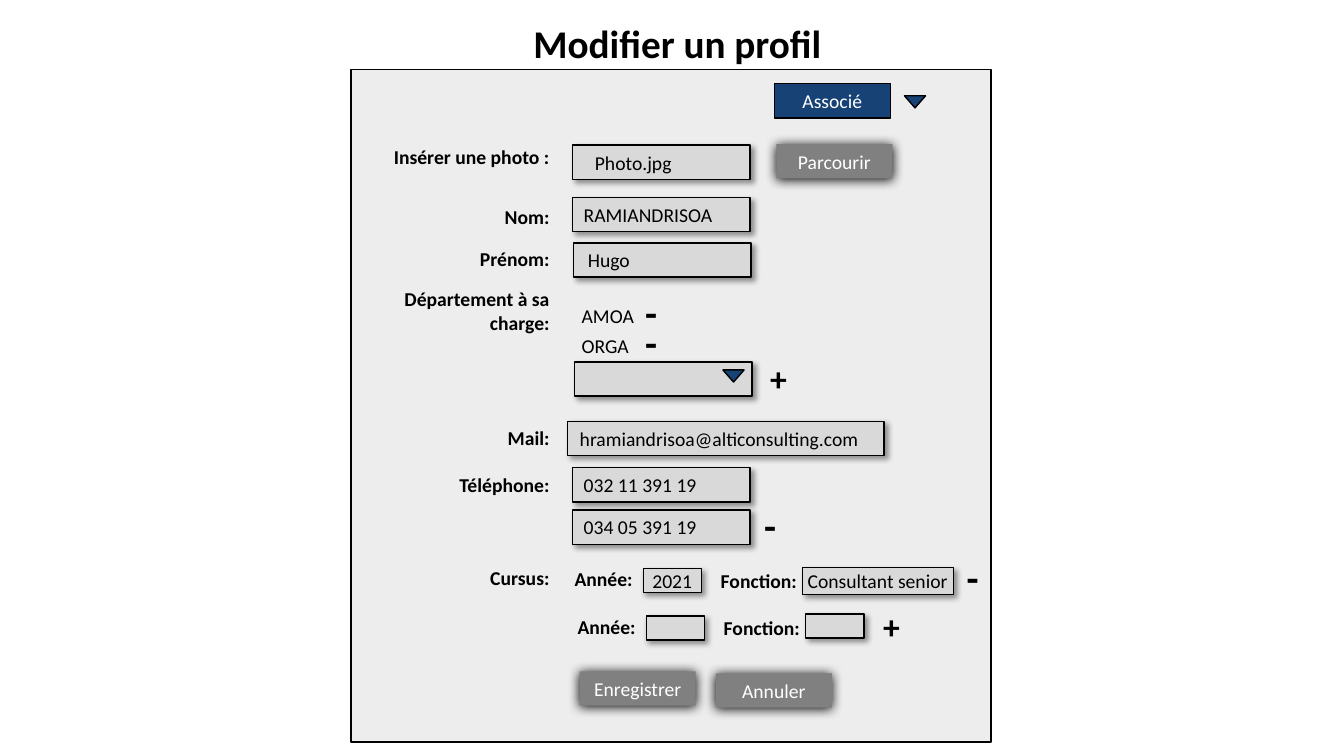
import pptx
import pptx.util
import pptx.dml.color
import pptx.enum.shapes
import pptx.enum.text
import pptx.oxml
import pptx.oxml.ns

Inches = pptx.util.Inches
RGBColor = pptx.dml.color.RGBColor
SHAPES = pptx.enum.shapes.MSO_SHAPE
ALIGN = pptx.enum.text.PP_ALIGN
ANCHOR = pptx.enum.text.MSO_ANCHOR

BLACK = RGBColor(0x00, 0x00, 0x00)
WHITE = RGBColor(0xFF, 0xFF, 0xFF)
PANEL_GRAY = RGBColor(0xED, 0xED, 0xED)
FIELD_GRAY = RGBColor(0xD9, 0xD9, 0xD9)
BUTTON_GRAY = RGBColor(0x80, 0x80, 0x80)
NAVY = RGBColor(0x17, 0x42, 0x75)

TITLE = "Modifier un profil"
LABEL_LEFT, LABEL_WIDTH = 3.52, 2.03
ROW_LABELS = [
    ("Insérer une photo :", 1.39),
    ("Nom:", 1.98),
    ("Prénom:", 2.40),
    ("Département à sa charge:", 2.80),
    ("Mail:", 4.18),
    ("Téléphone:", 4.64),
    ("Cursus:", 5.57),
]
CURSUS_LABELS = [
    ("Année:", 5.60, 5.58),
    ("Fonction:", 7.05, 5.59),
    ("Année:", 5.63, 6.05),
    ("Fonction:", 7.08, 6.06),
]
DEPARTMENTS = [("AMOA", 5.67, 2.97), ("ORGA", 5.67, 3.26)]
FIELD_SIZE = (1.76, 0.34)
YEAR_SIZE = (0.58, 0.24)
FIELDS = [
    ("Photo.jpg", 5.68, 1.44, FIELD_SIZE, 0.22),
    ("RAMIANDRISOA", 5.68, 1.96, FIELD_SIZE, 0.11),
    ("Hugo", 5.69, 2.41, FIELD_SIZE, 0.14),
    ("", 5.70, 3.59, FIELD_SIZE, 0.11),
    ("hramiandrisoa@alticonsulting.com", 5.63, 4.18, (3.14, 0.34), 0.12),
    ("032 11 391 19", 5.68, 4.64, FIELD_SIZE, 0.11),
    ("034 05 391 19", 5.68, 5.06, FIELD_SIZE, 0.11),
    ("2021", 6.38, 5.64, YEAR_SIZE, 0.09),
    ("Consultant senior", 7.96, 5.63, (1.5, 0.27), 0.05),
    ("", 6.41, 6.11, YEAR_SIZE, 0.09),
    ("", 7.99, 6.09, YEAR_SIZE, 0.05),
]
BUTTON_SIZE = (1.15, 0.34)
BUTTONS = [
    ("Parcourir", 7.70, 1.43),
    ("Enregistrer", 5.75, 6.66),
    ("Annuler", 7.10, 6.68),
]
SIGNS = [
    ("-", 6.30, 2.81),
    ("-", 6.30, 3.11),
    ("+", 7.54, 3.50),
    ("-", 7.48, 4.92),
    ("-", 9.49, 5.44),
    ("+", 8.66, 5.96),
]
SIGN_SIZES = {"-": 28, "+": 24}
ARROWS = [(8.97, 0.95), (7.17, 3.67)]
FIELD_SHADOW = {"blur": 4, "distance": 3, "angle": 45, "alpha": 40}
BUTTON_SHADOW = {"blur": 8.5, "distance": 1, "angle": 90, "alpha": 100}


def write_text(shape, text, size=14, bold=False, color=BLACK, align=ALIGN.LEFT,
               anchor=ANCHOR.TOP, inset=0.1, right_inset=0.1, margin=0.05):
    frame = shape.text_frame
    frame.text = text
    frame_format = {
        "word_wrap": True, "auto_size": pptx.enum.text.MSO_AUTO_SIZE.NONE,
        "vertical_anchor": anchor,
        "margin_left": Inches(inset), "margin_right": Inches(right_inset),
        "margin_top": Inches(margin), "margin_bottom": Inches(margin),
    }
    for name, value in frame_format.items():
        setattr(frame, name, value)
    paragraph = frame.paragraphs[0]
    paragraph.alignment = align
    paragraph.line_spacing = 1.0
    font_format = {"name": "Calibri", "size": pptx.util.Pt(size), "bold": bold}
    for name, value in font_format.items():
        setattr(paragraph.font, name, value)
    paragraph.font.color.rgb = color


def add_text(text, left, top, width, height, **text_format):
    box = slide.shapes.add_textbox(*map(Inches, (left, top, width, height)))
    write_text(box, text, **text_format)


def add_shadow(shape, blur, distance, angle, alpha):
    effects = shape._element.spPr.find(pptx.oxml.ns.qn("a:effectLst"))
    effects.append(pptx.oxml.parse_xml(
        f'<a:outerShdw {pptx.oxml.ns.nsdecls("a")} blurRad="{pptx.util.Pt(blur)}" '
        f'dist="{pptx.util.Pt(distance)}" dir="{angle * 60000}" algn="tl" rotWithShape="0">'
        f'<a:srgbClr val="{BLACK}"><a:alpha val="{alpha * 1000}"/></a:srgbClr>'
        '</a:outerShdw>'))


def add_block(left, top, width, height, fill, outlined=True, shadow=None,
              kind=SHAPES.RECTANGLE):
    shape = slide.shapes.add_shape(kind, *map(Inches, (left, top, width, height)))
    shape.shadow.inherit = False
    shape.fill.solid()
    shape.fill.fore_color.rgb = fill
    if outlined:
        shape.line.color.rgb = BLACK
        shape.line.width = pptx.util.Pt(1)
    else:
        shape.line.fill.background()
    if shadow:
        add_shadow(shape, **shadow)
    return shape


presentation = pptx.Presentation()
presentation.slide_width = Inches(13.33)
presentation.slide_height = Inches(7.5)
slide = presentation.slides.add_slide(presentation.slide_layouts[5])

add_block(3.48, 0.69, 6.35, 6.67, PANEL_GRAY)

title = slide.shapes.title
title_place = {"left": 5.19, "top": 0.14, "width": 3.63, "height": 0.57}
for name, value in title_place.items():
    setattr(title, name, Inches(value))
write_text(title, TITLE, size=28, bold=True)

for text, top in ROW_LABELS:
    height = 0.57 if text.startswith("Département") else 0.34
    add_text(text, LABEL_LEFT, top, LABEL_WIDTH, height, bold=True, align=ALIGN.RIGHT)
for text, left, top in CURSUS_LABELS:
    add_text(text, left, top, 1.0, 0.34, bold=True)
for text, left, top in DEPARTMENTS:
    add_text(text, left, top, 1.48, 0.34)

for text, left, top, size, inset in FIELDS:
    field = add_block(left, top, *size, FIELD_GRAY, shadow=FIELD_SHADOW)
    if text:
        write_text(field, text, anchor=ANCHOR.MIDDLE, inset=inset, right_inset=0, margin=0)

button_text = {"color": WHITE, "align": ALIGN.CENTER, "anchor": ANCHOR.MIDDLE}
for text, left, top in BUTTONS:
    button = add_block(left, top, *BUTTON_SIZE, BUTTON_GRAY, False, BUTTON_SHADOW)
    write_text(button, text, **button_text)
role = add_block(7.68, 0.83, *BUTTON_SIZE, NAVY)
write_text(role, "Associé", **button_text)

for left, top in ARROWS:
    arrow = add_block(left, top, 0.21, 0.12, NAVY, kind=SHAPES.ISOSCELES_TRIANGLE)
    arrow.rotation = 180
for sign, left, top in SIGNS:
    add_text(sign, left, top, 0.46, 0.57, size=SIGN_SIZES[sign], bold=True)

presentation.save("out.pptx")
